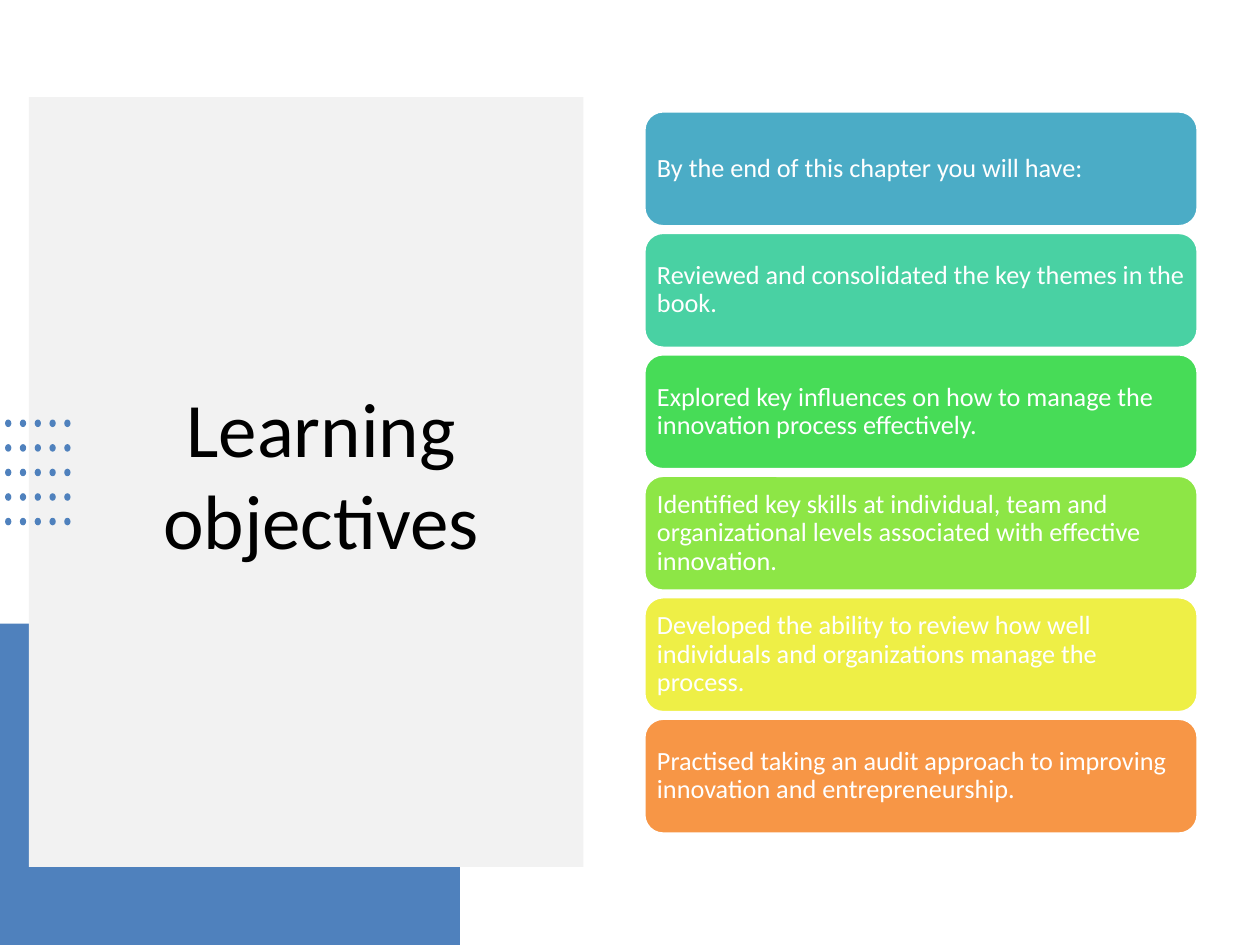
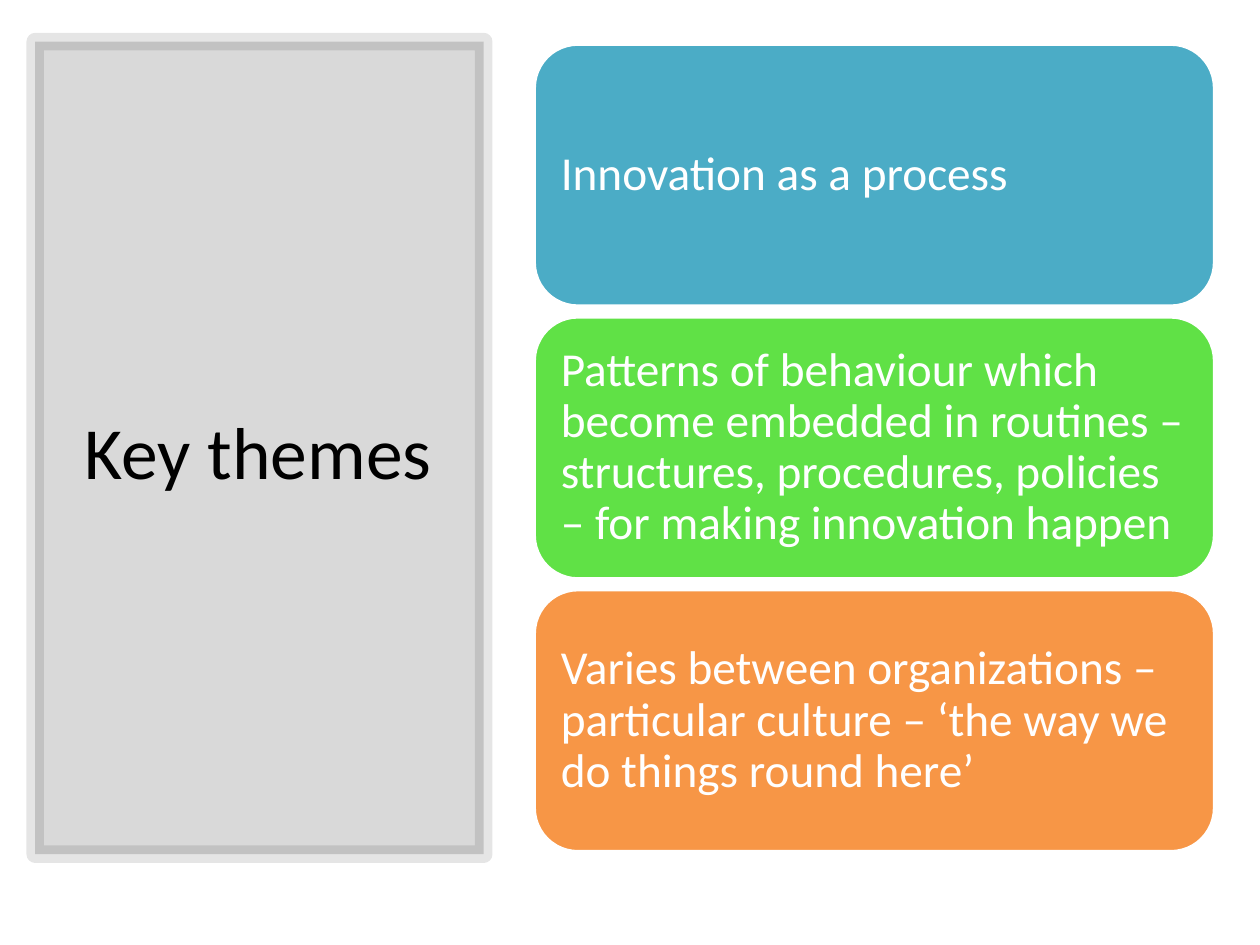
from dataclasses import dataclass

from lxml.etree import SubElement
from pptx import Presentation
from pptx.dml.color import RGBColor
from pptx.enum.shapes import MSO_SHAPE as Preset
from pptx.enum.text import MSO_ANCHOR as Anchor, PP_ALIGN as Align
from pptx.oxml.ns import qn
from pptx.shapes.autoshape import Shape
from pptx.slide import Slide
from pptx.text.text import TextFrame
from pptx.util import Inches, Pt

FONT = "Calibri"
BLACK = RGBColor(0x00, 0x00, 0x00)
WHITE = RGBColor(0xFF, 0xFF, 0xFF)
BLUE = RGBColor(0x4F, 0x81, 0xBD)
PALE_GREY = RGBColor(0xF2, 0xF2, 0xF2)
TEAL = RGBColor(0x4B, 0xAC, 0xC6)
MINT = RGBColor(0x49, 0xD1, 0xA3)
GREEN = RGBColor(0x47, 0xDC, 0x57)
BRIGHT_GREEN = RGBColor(0x60, 0xE1, 0x46)
LIME = RGBColor(0x8D, 0xE6, 0x46)
YELLOW = RGBColor(0xEE, 0xEF, 0x46)
ORANGE = RGBColor(0xF7, 0x96, 0x46)


@dataclass(frozen=True)
class Box:
    """A rectangle measured in inches."""
    left: float
    top: float
    width: float
    height: float

    def emu(self) -> tuple[int, ...]:
        return tuple(Inches(v) for v in (self.left, self.top, self.width, self.height))


@dataclass(frozen=True)
class Card:
    text: str
    color: RGBColor


@dataclass(frozen=True)
class CardStack:
    """Cards of equal height, spread evenly over an area."""
    area: Box
    card_height: float
    margin: float
    text_size: int
    cards: list[Card]


OBJECTIVES = CardStack(Box(5.11, 0.88, 4.4, 5.74), 0.92, 0.06, 15, [
    Card("By the end of this chapter you will have:", TEAL),
    Card("Reviewed and consolidated the key themes in the book.", MINT),
    Card("Explored key influences on how to manage the innovation process effectively.", GREEN),
    Card("Identified key skills at individual, team and organizational levels "
         "associated with effective innovation.", LIME),
    Card("Developed the ability to review how well individuals and organizations "
         "manage the process.", YELLOW),
    Card("Practised taking an audit approach to improving innovation and "
         "entrepreneurship.", ORANGE),
])

THEMES = CardStack(Box(4.24, 0.35, 5.4, 6.41), 2.08, 0.11, 27, [
    Card("Innovation as a process", TEAL),
    Card("Patterns of behaviour which become embedded in routines – structures, "
         "procedures, policies – for making innovation happen", BRIGHT_GREEN),
    Card("Varies between organizations – particular culture – ‘the way we do things "
         "round here’", ORANGE),
])


def spread(first: float, last: float, count: int) -> list[float]:
    """Return evenly spaced positions from first to last."""
    return [first + i * (last - first) / (count - 1) for i in range(count)]


def add_filled(slide: Slide, preset: Preset, box: Box, color: RGBColor) -> Shape:
    shape = slide.shapes.add_shape(preset, *box.emu())
    shape.shadow.inherit = False
    shape.fill.solid()
    shape.fill.fore_color.rgb = color
    shape.line.fill.background()
    return shape


def set_line(shape: Shape, color: RGBColor, width: float) -> None:
    shape.line.color.rgb = color
    shape.line.width = Pt(width)


def write(frame: TextFrame, text: str, size: int, color: RGBColor,
          align: Align, spacing: float = 1.0) -> None:
    frame.word_wrap = True
    frame.vertical_anchor = Anchor.MIDDLE
    paragraph = frame.paragraphs[0]
    paragraph.alignment = align
    paragraph.line_spacing = spacing
    run = paragraph.add_run()
    run.text = text
    run.font.name = FONT
    run.font.size = Pt(size)
    run.font.color.rgb = color


def add_title(slide: Slide, text: str, box: Box, size: int) -> None:
    title = slide.shapes.add_textbox(*box.emu())
    write(title.text_frame, text, size, BLACK, Align.CENTER)


def add_cards(slide: Slide, stack: CardStack) -> None:
    area = stack.area
    last_top = area.top + area.height - stack.card_height
    for card, top in zip(stack.cards, spread(area.top, last_top, len(stack.cards))):
        box = Box(area.left, top, area.width, stack.card_height)
        shape = add_filled(slide, Preset.ROUNDED_RECTANGLE, box, card.color)
        set_line(shape, WHITE, 2)
        frame = shape.text_frame
        frame.margin_left = frame.margin_right = Inches(stack.margin)
        frame.margin_top = frame.margin_bottom = Inches(stack.margin)
        write(frame, card.text, stack.text_size, WHITE, Align.LEFT, 0.9)


def add_dot_grid(slide: Slide) -> None:
    for left in spread(0.04, 0.51, 5):
        for top in spread(3.33, 4.11, 5):
            add_filled(slide, Preset.OVAL, Box(left, top, 0.05, 0.06), BLUE)


def add_glass_frame(slide: Slide, box: Box) -> None:
    """Draw a black frame with 15 % opaque fill and 10 % opaque line."""
    glass = add_filled(slide, Preset.RECTANGLE, box, BLACK)
    set_line(glass, BLACK, 10)
    colors = list(glass.element.iter(qn("a:srgbClr")))
    for color, percent in zip(colors, (15, 10)):
        SubElement(color, qn("a:alpha")).set("val", str(percent * 1000))


def build_objectives(slide: Slide) -> None:
    add_filled(slide, Preset.RECTANGLE, Box(0, 4.95, 3.65, 2.55), BLUE)
    add_filled(slide, Preset.RECTANGLE, Box(0.23, 0.77, 4.4, 6.11), PALE_GREY)
    add_title(slide, "Learning objectives", Box(0.83, 1.47, 3.44, 4.56), 44)
    add_dot_grid(slide)
    add_cards(slide, OBJECTIVES)


def build_themes(slide: Slide) -> None:
    add_glass_frame(slide, Box(0.28, 0.33, 3.56, 6.45))
    add_title(slide, "Key themes", Box(0.49, 0.7, 3.12, 5.75), 42)
    add_cards(slide, THEMES)


def main() -> None:
    deck = Presentation()
    deck.slide_width, deck.slide_height = Inches(10), Inches(7.5)
    blank = deck.slide_layouts[6]
    for build in (build_objectives, build_themes):
        build(deck.slides.add_slide(blank))
    deck.save("out.pptx")


if __name__ == "__main__":
    main()
